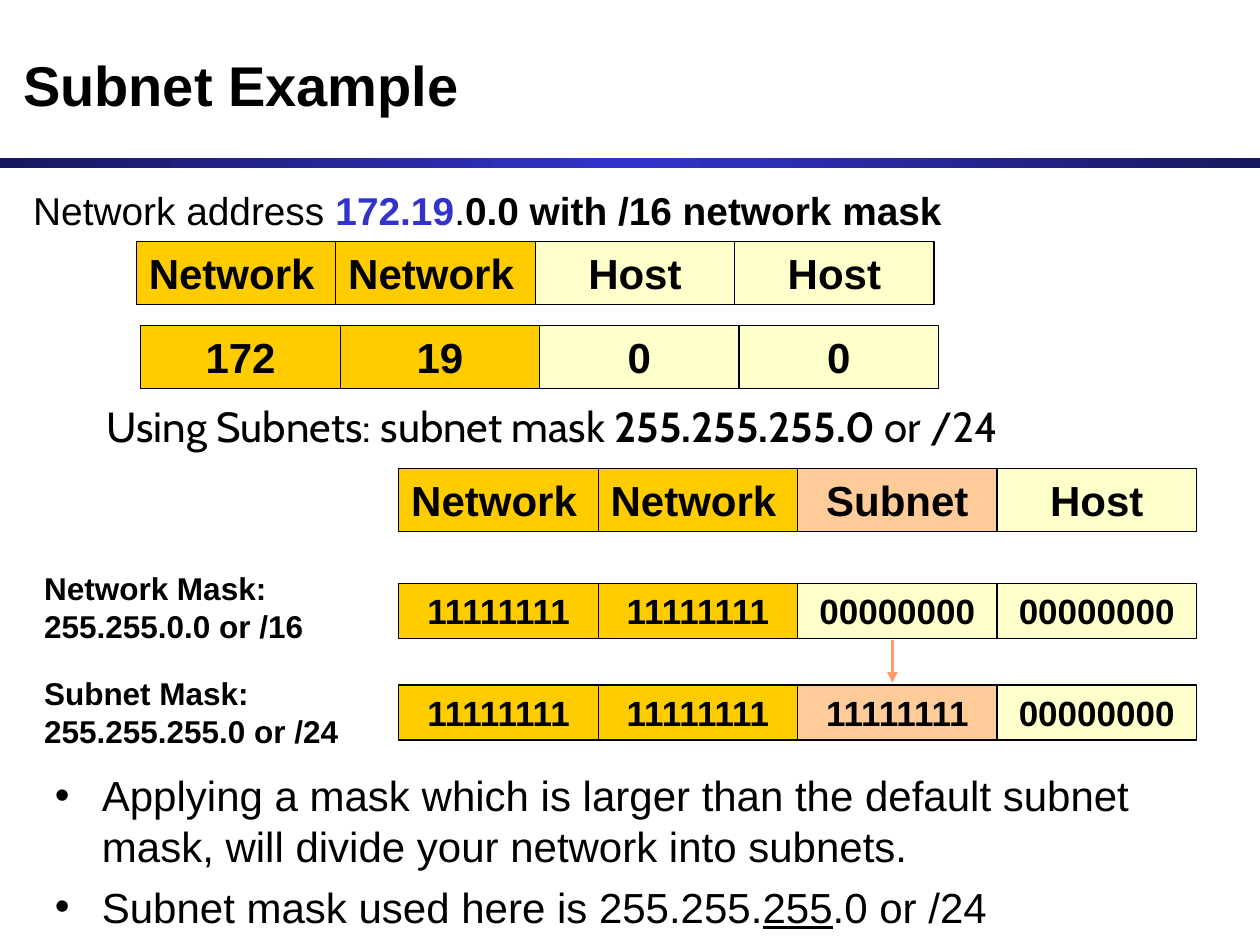
"""Build the subnet example slide with its address and mask rows."""
import copy

import pptx
import pptx.dml.color
import pptx.enum.shapes
import pptx.enum.text
import pptx.oxml
import pptx.oxml.ns
import pptx.util
from pptx.util import Cm

BLACK = pptx.dml.color.RGBColor(0x00, 0x00, 0x00)
BLUE = pptx.dml.color.RGBColor(0x33, 0x33, 0xCC)
NAVY = pptx.dml.color.RGBColor(0x18, 0x18, 0x5E)
GOLD = pptx.dml.color.RGBColor(0xFF, 0xCC, 0x00)
CREAM = pptx.dml.color.RGBColor(0xFF, 0xFF, 0xCC)
PEACH = pptx.dml.color.RGBColor(0xFF, 0xCC, 0x99)
ORANGE = pptx.dml.color.RGBColor(0xFF, 0x99, 0x66)
ALIGN = pptx.enum.text.PP_ALIGN
ANCHOR = pptx.enum.text.MSO_ANCHOR
SHAPE = pptx.enum.shapes.MSO_SHAPE


def add_run(paragraph, text, size, bold=False, color=BLACK, name="Arial"):
    run = paragraph.add_run()
    run.text = text
    run.font.size = pptx.util.Pt(size)
    run.font.bold = bold
    run.font.name = name
    run.font.color.rgb = color
    return run


def add_text_box(slide, left, top, width, height):
    box = slide.shapes.add_textbox(Cm(left), Cm(top), Cm(width), Cm(height))
    box.text_frame.word_wrap = True
    return box.text_frame.paragraphs[0]


presentation = pptx.Presentation()
presentation.slide_width = Cm(25.4)
presentation.slide_height = Cm(19.05)
slide = presentation.slides.add_slide(presentation.slide_layouts[1])

bar = slide.shapes.add_shape(SHAPE.RECTANGLE, 0, Cm(3.18), Cm(25.4), Cm(0.21))
bar.shadow.inherit = False
bar.line.fill.background()
bar.fill.gradient()
bar.fill.gradient_angle = 0
first_stop = bar._element.spPr.find(".//" + pptx.oxml.ns.qn("a:gs"))
first_stop.addnext(copy.deepcopy(first_stop))
for stop, position, color in zip(bar.fill.gradient_stops, (0, 0.5, 1), (NAVY, BLUE, NAVY)):
    stop.position = position
    stop.color.rgb = color

title = slide.shapes.title
title.left, title.top, title.width, title.height = Cm(0.21), Cm(0.42), Cm(24.97), Cm(2.54)
title.text_frame.vertical_anchor = ANCHOR.MIDDLE
paragraph = title.text_frame.paragraphs[0]
paragraph.alignment = ALIGN.LEFT
add_run(paragraph, "Subnet Example", 32, bold=True)

paragraph = add_text_box(slide, 0.42, 3.81, 23.92, 1.06)
paragraph.line_spacing = 0.8
add_run(paragraph, "Network address ", 22.2)
add_run(paragraph, "172.19", 22.2, bold=True, color=BLUE)
add_run(paragraph, ".", 22.2)
add_run(paragraph, "0.0 with /16 network mask", 22.2, bold=True)

paragraph = add_text_box(slide, 1.9, 7.95, 21.8, 1.27)
for text, bold in (("Using Subnets: subnet mask ", False), ("255.255.255.0", True), (" or /24", False)):
    add_run(paragraph, text, 24, bold, name="Cabin")

for text, top in (("Network Mask: 255.255.0.0 or /16", 11.35), ("Subnet Mask: 255.255.255.0 or /24", 13.46)):
    add_run(add_text_box(slide, 0.64, top, 7.2, 1.78), text, 18, bold=True)

ONES, ZEROS = "1" * 8, "0" * 8
plain_fills = (GOLD, GOLD, CREAM, CREAM)
subnet_fills = (GOLD, GOLD, PEACH, CREAM)
rows = (
    (2.75, 4.87, 1.27, 24, ("Network", "Network", "Host", "Host"), plain_fills),
    (2.84, 6.56, 1.27, 24, ("172", "19", "0", "0"), plain_fills),
    (8.04, 9.44, 1.27, 24, ("Network", "Network", "Subnet", "Host"), subnet_fills),
    (8.04, 11.76, 1.11, 20, (ONES, ONES, ZEROS, ZEROS), plain_fills),
    (8.04, 13.81, 1.11, 20, (ONES, ONES, ONES, ZEROS), subnet_fills),
)
cell_width = 4.02
for left, top, height, size, labels, fills in rows:
    for column, (label, fill) in enumerate(zip(labels, fills)):
        cell = slide.shapes.add_shape(
            SHAPE.RECTANGLE, Cm(left + column * cell_width), Cm(top), Cm(cell_width), Cm(height))
        cell.shadow.inherit = False
        cell.fill.solid()
        cell.fill.fore_color.rgb = fill
        cell.line.color.rgb = BLACK
        cell.line.width = pptx.util.Pt(0.75)
        cell.text_frame.word_wrap = True
        cell.text_frame.vertical_anchor = ANCHOR.TOP
        paragraph = cell.text_frame.paragraphs[0]
        paragraph.alignment = ALIGN.LEFT if label == "Network" else ALIGN.CENTER
        add_run(paragraph, label, size, bold=True)

arrow = slide.shapes.add_connector(
    pptx.enum.shapes.MSO_CONNECTOR.STRAIGHT, Cm(17.99), Cm(12.91), Cm(17.99), Cm(13.76))
arrow.line.color.rgb = ORANGE
arrow.line.width = pptx.util.Pt(2)
arrow_line = arrow.line._get_or_add_ln()
arrow_line.append(pptx.oxml.parse_xml(
    f'<a:tailEnd {pptx.oxml.ns.nsdecls("a")} type="triangle"/>'))
arrow_line.addnext(pptx.oxml.parse_xml(f'<a:effectLst {pptx.oxml.ns.nsdecls("a")}/>'))

body = slide.placeholders[1]
body.left, body.top, body.width, body.height = Cm(0.85), Cm(15.39), Cm(23.71), Cm(4.29)
body.text_frame.auto_size = pptx.enum.text.MSO_AUTO_SIZE.NONE
bullets = (
    (("Applying a mask which is larger than the default subnet mask, "
      "will divide your network into subnets.", False),),
    (("Subnet mask used here is 255.255.", False), ("255", True), (".0 or /24", False)),
)
for number, parts in enumerate(bullets):
    paragraph = body.text_frame.add_paragraph() if number else body.text_frame.paragraphs[0]
    paragraph.space_before = pptx.util.Pt(6 if number else 0)
    properties = paragraph._p.get_or_add_pPr()
    properties.set("marL", str(Cm(0.95)))
    properties.set("indent", str(Cm(-0.95)))
    properties.append(pptx.oxml.parse_xml(
        f'<a:buChar {pptx.oxml.ns.nsdecls("a")} char="•"/>'))
    for text, underlined in parts:
        add_run(paragraph, text, 24).font.underline = underlined

presentation.save("out.pptx")
